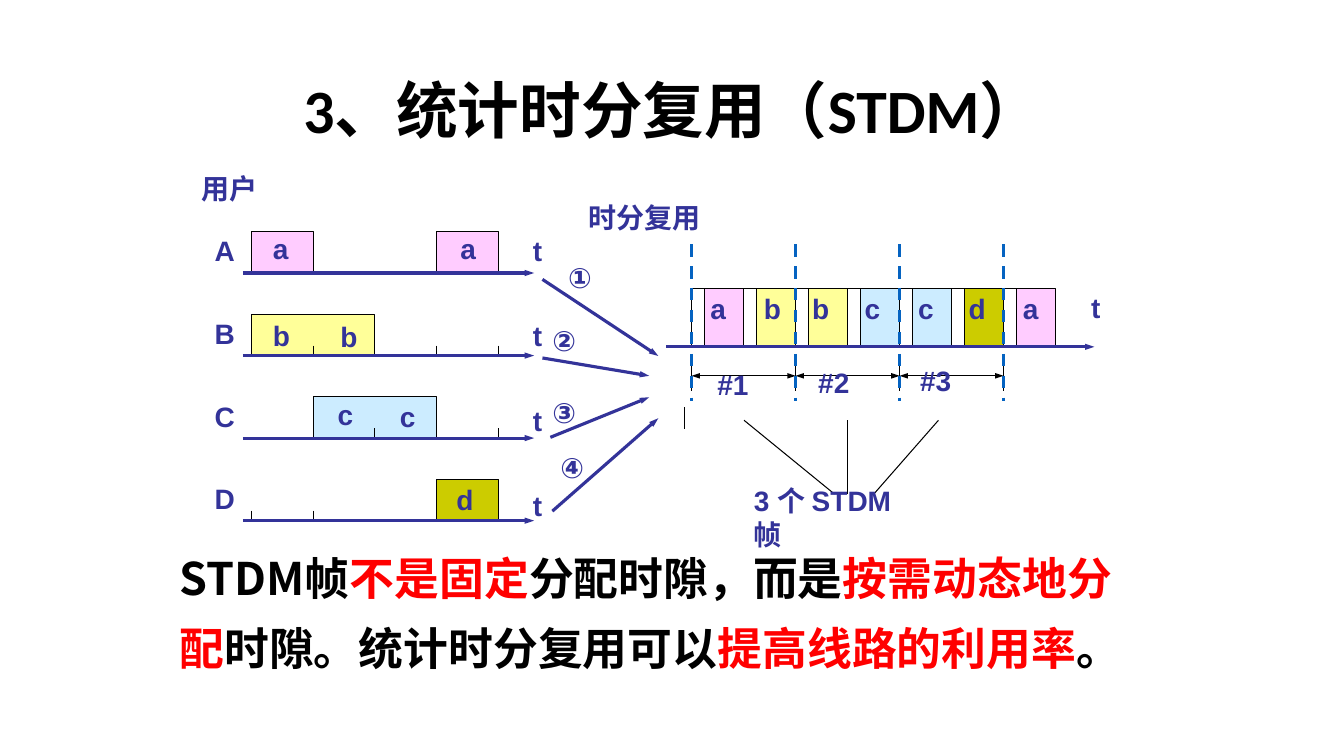
from pptx import Presentation
from pptx.dml.color import RGBColor
from pptx.enum.dml import MSO_LINE
from pptx.enum.shapes import MSO_CONNECTOR
from pptx.enum.text import MSO_ANCHOR, MSO_AUTO_SIZE, PP_ALIGN
from pptx.util import Cm, Pt
from lxml.etree import SubElement
from pptx.oxml.ns import qn

paint = RGBColor.from_string
BLACK, NAVY, RED, BLUE = "000000", "333399", "FF0000", "0563C1"
PINK, CREAM, SKY, OLIVE = "FFCCFF", "FFFF99", "CCECFF", "CCCC00"


def write(para, text, size=20, font="Arial", color=NAVY):
    run = para.add_run()
    run.text = text
    run.font.size = Pt(size)
    run.font.name = font
    run.font.bold = True
    run.font.color.rgb = paint(color)


def draw(x1, y1, x2, y2, color=BLACK, width=0.75, ends=(), dash=False):
    line = slide.shapes.add_connector(
        MSO_CONNECTOR.STRAIGHT, Cm(x1), Cm(y1), Cm(x2), Cm(y2))
    line.line.color.rgb = paint(color)
    line.line.width = Pt(width)
    if dash:
        line.line.dash_style = MSO_LINE.DASH
    props = line._element.spPr
    for end in ends:
        SubElement(props.find(qn("a:ln")), qn(f"a:{end}"),
                   type="triangle", w="sm", len="med")
    SubElement(props, qn("a:effectLst"))


deck = Presentation()
deck.slide_width, deck.slide_height = Cm(33.87), Cm(19.05)
slide = deck.slides.add_slide(deck.slide_layouts[1])
title, body = slide.placeholders

# Title
title.left, title.top, title.width, title.height = Cm(2.34), Cm(1.02), Cm(29.21), Cm(3.68)
title.text_frame.auto_size = MSO_AUTO_SIZE.NONE
title.text_frame.vertical_anchor = MSO_ANCHOR.MIDDLE
head = title.text_frame.paragraphs[0]
head.alignment = PP_ALIGN.CENTER
head.line_spacing = 0.9
write(head, "3、统计时分复用（STDM）", size=44, font="Calibri", color=BLACK)

# User rows: name, fill, (first slot, slots), ticks, letters
users = [
    ("A", PINK, [(0, 1), (3, 1)], [], [("a", 6.63, 5.72), ("a", 11.35, 5.72)]),
    ("B", CREAM, [(0, 2)], [1, 3, 4], [("b", 6.63, 7.9), ("b", 8.33, 7.92)]),
    ("C", SKY, [(1, 2)], [2, 4], [("c", 8.26, 9.88), ("c", 9.83, 9.93)]),
    ("D", OLIVE, [(3, 1)], [0, 1, 3], [("d", 11.25, 12.04)]),
]
LEFT, SLOT, TALL = 6.33, 1.56, 1.04
blocks, ticks, axes = [], [], []
labels = [("用户", 4.83, 4.19, 1.96), ("时分复用", 14.58, 4.93, 3.35)]
for row, (name, fill, spans, marks, signs) in enumerate(users):
    base = 6.88 + row * 2.08
    axes.append((6.12, base, 13.46))
    for first, count in spans:
        blocks.append((LEFT + first * SLOT, base, count * SLOT, TALL, fill))
    for mark in marks:
        ticks.append((LEFT + mark * SLOT, base - 0.25, base))
    labels.append((name, 5.16, base - 1.11, 1.04))
    labels.append(("t", 13.18, 5.77 + row * 2.14, 0.76))
    labels += [(sign, x, y, 0.93) for sign, x, y in signs]

# Shared line: a narrow gap, then a filled slot
START, STEP, GAP, FRAME, BASE = 17.43, 1.31, 0.33, 2.62, 8.74
slots = [("a", PINK, 17.65), ("b", CREAM, 19), ("b", CREAM, 20.22),
         ("c", SKY, 21.54), ("c", SKY, 22.89), ("d", OLIVE, 24.16), ("a", PINK, 25.53)]
axes.append((16.79, BASE, 27.58))
for spot, (sign, fill, x) in enumerate(slots):
    edge = START + spot * STEP
    blocks.append((edge, BASE, GAP, 1.48, None))
    blocks.append((edge + GAP, BASE, STEP - GAP, 1.48, fill))
    labels.append((sign, x, 7.21, 0.93))
labels.append(("t", 27.25, 7.19, 0.74))
for x in (20.38, 21.36, 25.3):
    ticks.append((x, 8.38, BASE))
for side in range(4):
    ticks.append((START + side * FRAME, 9.12, 9.86))
ticks.append((17.25, 10.26, 10.8))

# Open-bottom blocks
for x, base, wide, tall, fill in blocks:
    path = slide.shapes.build_freeform(Cm(x), Cm(base))
    path.add_line_segments([(Cm(x), Cm(base - tall)), (Cm(x + wide), Cm(base - tall)),
                            (Cm(x + wide), Cm(base))], close=False)
    block = path.convert_to_shape()
    block.shadow.inherit = False
    if fill:
        block.fill.solid()
        block.fill.fore_color.rgb = paint(fill)
    else:
        block.fill.background()
    block.line.color.rgb = paint(BLACK)
    block.line.width = Pt(0.75)

# Ticks and time axes
for x, top, low in ticks:
    draw(x, top, x, low)
for x, y, end in axes:
    draw(x, y, end, y, color=NAVY, width=2.25, ends=["tailEnd"])

# Arrows into the multiplexer
feeds = [("①", 14.07, 6.43, (13.67, 7.04, 16.59, 8.97)),
         ("②", 13.67, 8.03, (13.67, 9.02, 16.36, 9.47)),
         ("③", 13.67, 9.83, (13.87, 11.02, 16.36, 10.01)),
         ("④", 13.87, 11.23, (13.92, 12.88, 16.59, 10.54))]
for sign, x, y, ray in feeds:
    draw(*ray, color=NAVY, width=2.25, ends=["tailEnd"])
    labels.append((sign, x, y, 1.22))

# Frame spans, their numbers and the fan of pointers
for num, (x, y) in enumerate([(17.83, 9.14), (20.37, 9.09), (22.94, 9.04)]):
    edge = START + num * FRAME
    draw(edge, 9.47, edge + FRAME, 9.47, ends=["headEnd", "tailEnd"])
    labels.append((f"#{num + 1}", x, y, 1.3))
for x, end in [(18.75, 21.03), (21.36, 21.36), (23.65, 22.02)]:
    draw(x, 10.59, end, 12.45)
labels.append(("3 个 STDM 帧", 18.75, 12.07, 4.7))

# Labels
for text, x, y, wide in labels:
    box = slide.shapes.add_textbox(Cm(x), Cm(y), Cm(wide), Cm(1.12))
    box.text_frame.word_wrap = "STDM" in text
    write(box.text_frame.paragraphs[0], text)

# Dashed frame borders
for side in range(4):
    x = START + side * FRAME
    draw(x, 6.15, x, 10.11, color=BLUE, width=2.25, dash=True)

# Summary
body.left, body.top, body.width, body.height = Cm(4.27), Cm(13.34), Cm(24.46), Cm(3.81)
frame = body.text_frame
frame.auto_size = MSO_AUTO_SIZE.NONE
rows = [
    [("STDM帧", BLACK), ("不是固定", RED), ("分配时隙，而是", BLACK), ("按需动态地分", RED)],
    [("配", RED), ("时隙。统计时分复用可以", BLACK), ("提高线路的利用率", RED), ("。", BLACK)],
]
for num, parts in enumerate(rows):
    para = frame.add_paragraph() if num else frame.paragraphs[0]
    para.line_spacing = Pt(50)
    para.space_before = Pt(0)
    props = para._p.get_or_add_pPr()
    props.set("marL", "0")
    props.set("indent", "0")
    SubElement(props, qn("a:buNone"))
    for text, color in parts:
        write(para, text, size=32, font="Noto Sans CJK SC", color=color)

deck.save("out.pptx")
